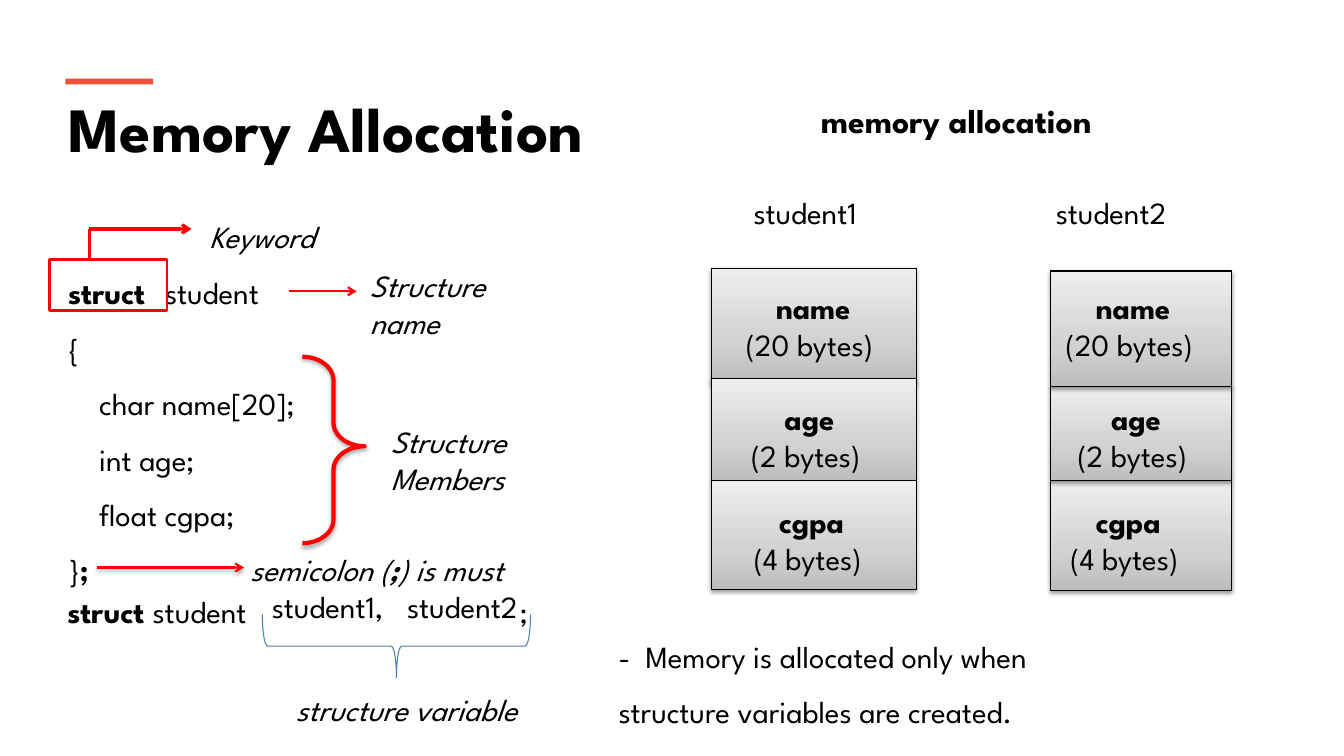
from dataclasses import dataclass

from lxml.etree import SubElement
from pptx import Presentation
from pptx.dml.color import RGBColor
from pptx.enum.shapes import MSO_CONNECTOR as Link, MSO_SHAPE as Preset
from pptx.enum.text import MSO_AUTO_SIZE as AutoSize, PP_ALIGN as Align
from pptx.oxml.ns import qn
from pptx.util import Cm, Pt

FONT = "League Spartan"
BLACK, RED, ORANGE, BLUE = "000000", "FF0000", "F05136", "4B7EBC"
CELL_SHADES = ((0, "BDBDBD"), (35, "D1D1D1"), (100, "EEEEEE"))
STYLES = {"": {}, "b": {"bold": True}, "i": {"italic": True},
          "bi": {"bold": True, "italic": True}}


@dataclass
class Para:
    runs: tuple[tuple[str, str], ...]  # (wording, style key)
    indent: float = 0
    tab: float = 0


@dataclass
class Note:
    left: float
    top: float
    width: float
    height: float
    paras: tuple[Para, ...]
    size: float = 22
    align: Align = Align.LEFT
    spacing: float = 1.0


@dataclass
class Member:
    name: str
    size: str
    top: float
    height: float
    label_left: float
    label_width: float
    label_top: float


@dataclass
class Variable:
    left: float
    width: float
    members: tuple[Member, ...]  # from back to front


@dataclass
class Arrow:
    start: tuple[float, float]
    end: tuple[float, float]
    weight: float
    head: bool = True
    shadow: bool = False


def plain(text: str, style: str = "") -> tuple[Para, ...]:
    return (Para(((text, style),)),)


def rgb(value: str) -> RGBColor:
    return RGBColor.from_string(value)


def add_shadow(effects, opacity: int, distance: float) -> None:
    outer = SubElement(effects, qn("a:outerShdw"), blurRad=str(Pt(3.1)),
                       dist=str(Pt(distance)), dir="5400000", rotWithShape="0")
    tint = SubElement(outer, qn("a:srgbClr"), val=BLACK)
    SubElement(tint, qn("a:alpha"), val=str(opacity * 1000))


def add_outline(slide, preset: Preset, box: tuple[float, float, float, float],
                fill: str = "", line: str = "", weight: float = 0.75):
    shape = slide.shapes.add_shape(preset, *map(Cm, box))
    shape.shadow.inherit = False
    if fill:
        shape.fill.solid()
        shape.fill.fore_color.rgb = rgb(fill)
    else:
        shape.fill.background()
    if line:
        shape.line.color.rgb = rgb(line)
        shape.line.width = Pt(weight)
    else:
        shape.line.fill.background()
    return shape


def add_cell(slide, variable: Variable, member: Member) -> None:
    box = (variable.left, member.top, variable.width, member.height)
    cell = add_outline(slide, Preset.RECTANGLE, box, line=BLACK)
    cell.fill.gradient()
    cell.fill.gradient_angle = 90
    stops = cell._element.spPr.find(".//" + qn("a:gsLst"))
    for stop in list(stops):
        stops.remove(stop)
    for position, shade in CELL_SHADES:
        stop = SubElement(stops, qn("a:gs"), pos=str(position * 1000))
        SubElement(stop, qn("a:srgbClr"), val=shade)
    add_shadow(cell._element.spPr.find(qn("a:effectLst")), 38, 1.6)


def add_note(slide, note: Note) -> None:
    box = (note.left, note.top, note.width, note.height)
    frame = slide.shapes.add_textbox(*map(Cm, box)).text_frame
    frame.word_wrap = True
    frame.auto_size = AutoSize.SHAPE_TO_FIT_TEXT
    for index, para in enumerate(note.paras):
        line = frame.add_paragraph() if index else frame.paragraphs[0]
        line.alignment = note.align
        line.line_spacing = note.spacing
        props = line._p.get_or_add_pPr()
        if para.indent:
            props.set("marL", str(Cm(para.indent)))
            props.set("indent", "0")
        if para.tab:
            tabs = SubElement(props, qn("a:tabLst"))
            SubElement(tabs, qn("a:tab"), pos=str(Cm(para.tab)), algn="l")
        for wording, style in para.runs:
            run = line.add_run()
            run.text = wording
            run.font.color.rgb = rgb(BLACK)
            looks = {"name": FONT, "size": Pt(note.size)} | STYLES[style]
            for key, value in looks.items():
                setattr(run.font, key, value)


def add_arrow(slide, arrow: Arrow) -> None:
    ends = map(Cm, arrow.start + arrow.end)
    link = slide.shapes.add_connector(Link.STRAIGHT, *ends)
    link.line.color.rgb = rgb(RED)
    link.line.width = Pt(arrow.weight)
    if arrow.head:
        SubElement(link.line._get_or_add_ln(), qn("a:tailEnd"), type="arrow")
    effects = SubElement(link._element.spPr, qn("a:effectLst"))
    if arrow.shadow:
        add_shadow(effects, 35, 1.8)


VARIABLES = (
    Variable(26.47, 4.57, (
        Member("cgpa", "(4 bytes) ", 12.12, 2.77, 26.64, 3.58, 12.55),
        Member("age", "(2 bytes) ", 9.73, 2.39, 26.85, 3.56, 9.96),
        Member("name", "(20 bytes) ", 6.83, 2.9, 26.47, 4.17, 7.14))),
    Variable(17.93, 5.16, (
        Member("name", "(20 bytes) ", 6.76, 2.9, 18.31, 4.37, 7.14),
        Member("age", "(2 bytes) ", 9.53, 2.59, 18.52, 3.76, 9.96),
        Member("cgpa", "(4 bytes) ", 12.12, 2.74, 18.52, 3.86, 12.55))),
)

CODE = (
    Para((("struct", "b"), ("\tstudent", "")), tab=2.44),
    Para((("{", ""),)),
    *(Para(((field, ""),), indent=0.78)
      for field in ("char name[20];", "int age;", "float cgpa;")),
    Para((("}", ""), (";", "b"))),
)
DECLARATION = (Para((("struct ", "b"), ("student\t;", "")), tab=11.4),)
SEMICOLON = (Para(((" semicolon (", "i"), (";", "bi"), (") is must", "i"))),)
REMARK = (Para((("-\tMemory is allocated only when structure variables "
                 "are created.", ""),), tab=0.68),)

NOTES = (
    Note(1.47, 2.13, 30.94, 2.18, plain("Memory Allocation", "b"), size=45),
    Note(19.91, 2.39, 8.38, 1.27, plain("memory allocation", "b"), 24, Align.CENTER),
    Note(1.47, 6.32, 6.9, 8.71, CODE, spacing=1.5),
    Note(1.45, 14.35, 12.9, 1.68, DECLARATION, spacing=1.5),
    Note(5.87, 13.28, 8.28, 1.68, SEMICOLON, spacing=1.5),
    Note(15.34, 15.47, 12.37, 3.07, REMARK, spacing=1.5),
    Note(18.31, 4.75, 3.96, 1.19, plain("student1"), align=Align.CENTER),
    Note(26.16, 4.75, 3.68, 1.19, plain("student2"), align=Align.CENTER),
    Note(6.6, 14.68, 4.22, 1.19, plain("student1,")),
    Note(10.01, 14.68, 3.94, 1.19, plain("student2")),
    Note(5.03, 5.36, 5.08, 1.19, plain("Keyword", "i")),
    Note(9.07, 6.6, 5.08, 2.13, plain("Structure name", "i")),
    Note(9.6, 10.52, 5.72, 2.13, plain("Structure Members", "i")),
    Note(7.21, 17.27, 7.39, 1.19, plain("structure variable", "i")),
)

ARROWS = (
    Arrow((2.44, 14.3), (6.15, 14.3), 1.5, shadow=True),
    Arrow((7.29, 7.34), (8.99, 7.34), 1.5),
    Arrow((2.25, 6.55), (2.25, 5.77), 2.25, head=False),
    Arrow((2.25, 5.77), (4.83, 5.77), 2.25),
)


def main() -> None:
    deck = Presentation()
    deck.slide_width, deck.slide_height = Cm(33.87), Cm(19.05)
    slide = deck.slides.add_slide(deck.slide_layouts[6])

    # Memory cells with their labels
    for variable in VARIABLES:
        for member in variable.members:
            add_cell(slide, variable, member)
        for member in variable.members:
            label = plain(member.name, "b") + plain(member.size)
            add_note(slide, Note(member.label_left, member.label_top,
                                 member.label_width, 2.13, label, align=Align.CENTER))

    # Heading, code and remarks
    add_outline(slide, Preset.RECTANGLE, (1.65, 1.98, 2.21, 0.15), fill=ORANGE)
    for note in NOTES:
        add_note(slide, note)

    # Keyword frame, braces and arrows
    add_outline(slide, Preset.RECTANGLE, (1.24, 6.55, 2.97, 1.27), line=RED, weight=2)
    members_brace = add_outline(slide, Preset.RIGHT_BRACE, (7.62, 8.99, 1.57, 4.7),
                                line=RED, weight=3)
    members_brace.adjustments[0] = 0.38
    members_brace.adjustments[1] = 0.48
    add_shadow(members_brace._element.spPr.find(qn("a:effectLst")), 35, 1.8)
    variables_brace = add_outline(slide, Preset.RIGHT_BRACE, (9.19, 12.9, 1.6, 6.76), line=BLUE)
    variables_brace.rotation = 90
    for arrow in ARROWS:
        add_arrow(slide, arrow)

    deck.save("out.pptx")


if __name__ == "__main__":
    main()
